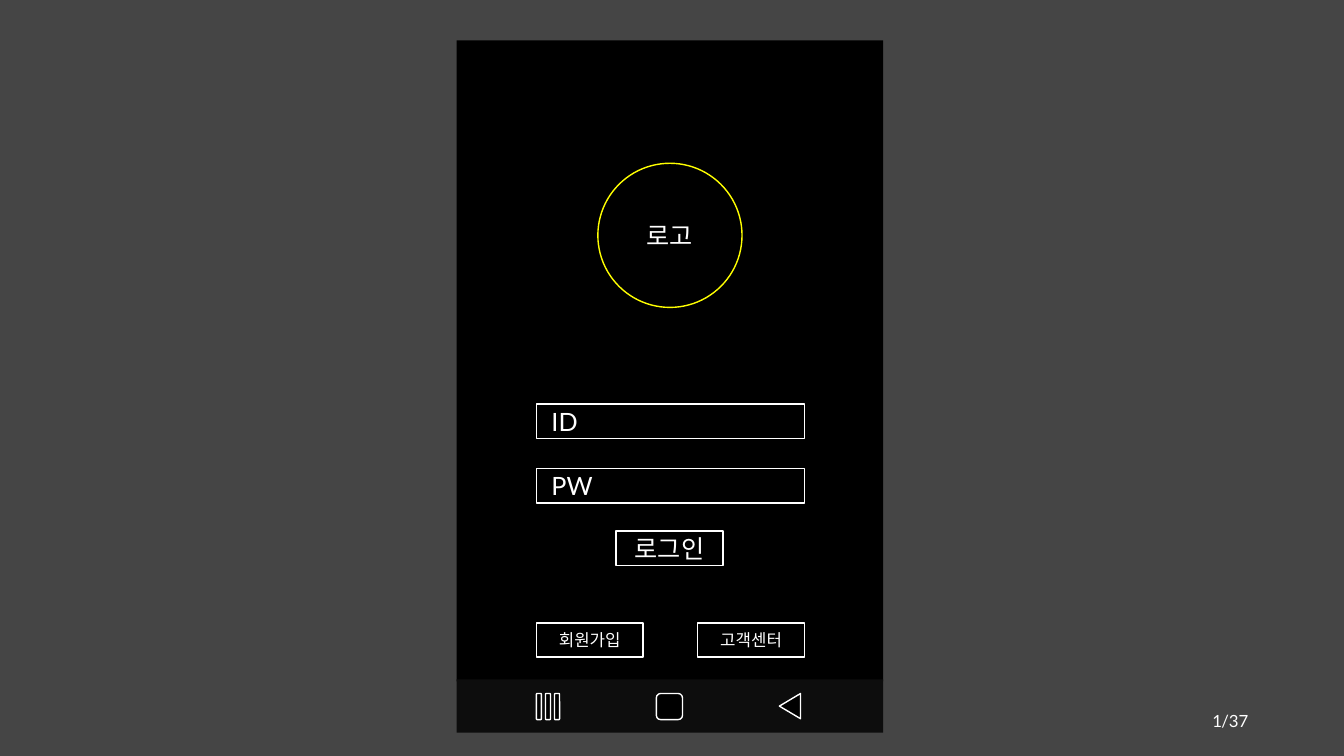
"""Build the login screen slide of a mobile app storyboard."""
from pptx import Presentation
from pptx.dml.color import RGBColor
from pptx.enum.shapes import MSO_SHAPE
from pptx.enum.text import MSO_ANCHOR, PP_ALIGN
from pptx.util import Inches, Pt

RECTANGLE = MSO_SHAPE.RECTANGLE
ROUNDED = MSO_SHAPE.ROUNDED_RECTANGLE
OVAL = MSO_SHAPE.OVAL
TRIANGLE = MSO_SHAPE.ISOSCELES_TRIANGLE
MIDDLE = MSO_ANCHOR.MIDDLE
LEFT, CENTER, RIGHT = PP_ALIGN.LEFT, PP_ALIGN.CENTER, PP_ALIGN.RIGHT

FONT = "Lato"
WHITE, BLACK, YELLOW = "FFFFFF", "000000", "FFFF00"
BACKDROP, NAVIGATION = "454545", "0D0D0D"
FORM_LEFT, FORM_WIDTH = 5.32, 2.66
BUTTON_WIDTH, ROW_HEIGHT = 1.06, 0.34


def paint(fill, color):
    """Make a fill solid in the given hex colour."""
    fill.solid()
    fill.fore_color.rgb = RGBColor.from_string(color)


def write(box, text, size=18, align=CENTER, indent=0.1):
    """Put one formatted line of text into a box."""
    frame = box.text_frame
    frame.word_wrap = True
    frame.vertical_anchor = MIDDLE
    frame.margin_left = Inches(indent)
    para = frame.paragraphs[0]
    para.alignment = align
    span = para.add_run()
    span.text = text
    span.font.name = FONT
    span.font.size = Pt(size)
    paint(span.font.fill, WHITE)


def add_box(page, kind, left, top, width, height, fill=BLACK, line=WHITE):
    """Add a filled shape, outlined unless line is None."""
    box = page.shapes.add_shape(
        kind, Inches(left), Inches(top), Inches(width), Inches(height))
    box.shadow.inherit = False
    paint(box.fill, fill)
    if line:
        paint(box.line.fill, line)
        box.line.width = Pt(1)
    else:
        box.line.fill.background()
    return box


def add_button(page, text, left, top, size):
    """Add a labelled button."""
    box = add_box(page, RECTANGLE, left, top, BUTTON_WIDTH, ROW_HEIGHT)
    write(box, text, size=size)


def add_field(page, text, top):
    """Add a form field with its hint on the left."""
    box = add_box(page, RECTANGLE, FORM_LEFT, top, FORM_WIDTH, ROW_HEIGHT)
    write(box, text, align=LEFT, indent=0.15)


def add_page_text(page, text, left):
    """Add one right-aligned part of the page number."""
    box = page.shapes.add_textbox(
        Inches(left), Inches(6.95), Inches(2.63), Inches(0.4))
    write(box, text, size=12, align=RIGHT)


def add_navigation(page):
    """Add the phone's bottom bar with its three icons."""
    add_box(page, RECTANGLE, 4.53, 6.74, 4.23, 0.53, fill=NAVIGATION, line=None)
    back = add_box(page, TRIANGLE, 7.71, 6.9, 0.25, 0.21)
    back.rotation = 270
    add_box(page, ROUNDED, 6.51, 6.88, 0.26, 0.26)
    for index in range(3):
        add_box(page, ROUNDED, FORM_LEFT + 0.09 * index, 6.88, 0.05, 0.26)


def main():
    """Build and save the slide."""
    deck = Presentation()
    deck.slide_width, deck.slide_height = Inches(13.33), Inches(7.5)
    page = deck.slides.add_slide(deck.slide_layouts.get_by_name("Blank"))
    paint(page.background.fill, BACKDROP)

    add_page_text(page, "/37", 9.85)
    add_page_text(page, "1", 9.59)

    add_box(page, RECTANGLE, 4.53, 0.4, 4.23, 6.36, line=None)
    logo = add_box(page, OVAL, 5.93, 1.62, 1.43, 1.43, line=YELLOW)
    write(logo, "로고")
    add_field(page, "ID", 4.01)
    add_field(page, "PW", 4.65)
    add_button(page, "로그인", 6.11, 5.27, size=18)
    add_button(page, "회원가입", FORM_LEFT, 6.18, size=12)
    add_button(page, "고객센터", FORM_LEFT + FORM_WIDTH - BUTTON_WIDTH, 6.18, size=12)
    add_navigation(page)

    deck.save("out.pptx")


if __name__ == "__main__":
    main()
